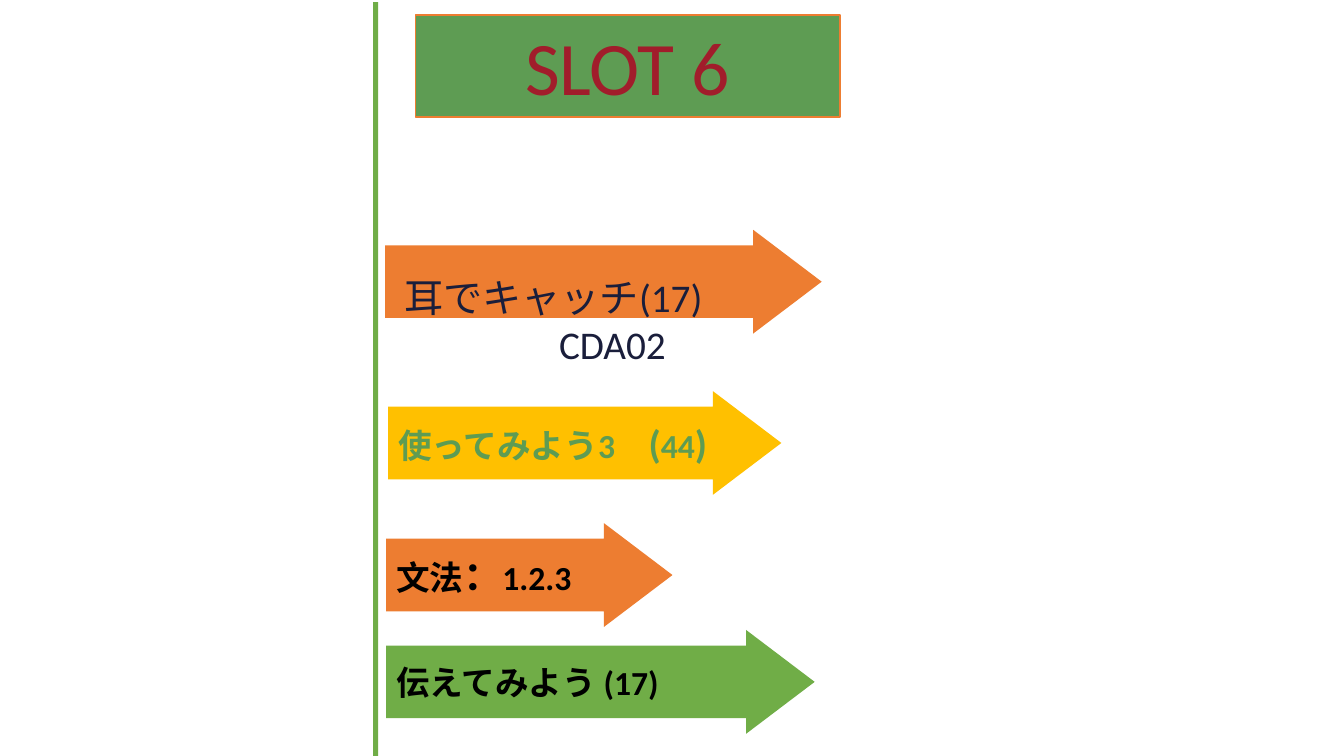
from dataclasses import dataclass

from pptx import Presentation
from pptx.dml.color import RGBColor
from pptx.enum.shapes import MSO_SHAPE
from pptx.enum.text import MSO_ANCHOR, PP_ALIGN
from pptx.shapes.autoshape import Shape
from pptx.slide import Slide
from pptx.util import Inches, Pt

RIGHT_ARROW = MSO_SHAPE.RIGHT_ARROW
RECTANGLE = MSO_SHAPE.RECTANGLE
TOP = MSO_ANCHOR.TOP
MIDDLE = MSO_ANCHOR.MIDDLE
LEFT = PP_ALIGN.LEFT
CENTER = PP_ALIGN.CENTER

ORANGE = RGBColor(0xED, 0x7D, 0x31)
YELLOW = RGBColor(0xFF, 0xC0, 0x00)
GREEN = RGBColor(0x70, 0xAD, 0x47)
DARK_GREEN = RGBColor(0x5E, 0x9C, 0x53)
RED = RGBColor(0xA1, 0x1D, 0x2B)
NAVY = RGBColor(0x1A, 0x1E, 0x3B)
BLACK = RGBColor(0x00, 0x00, 0x00)

FONT_NAME = "Calibri"
ARROW_HEIGHT = 1.03
ARROW_ADJUSTMENTS = (0.7, 0.66)


@dataclass(frozen=True)
class Box:
    left: float
    top: float
    width: float
    height: float


@dataclass(frozen=True)
class Line:
    runs: tuple[tuple[str, int], ...]
    color: RGBColor
    bold: bool = False
    alignment: PP_ALIGN = LEFT


@dataclass(frozen=True)
class Arrow:
    left: float
    top: float
    width: float
    fill: RGBColor
    line: Line | None = None


@dataclass(frozen=True)
class Label:
    box: Box
    lines: tuple[Line, ...]


ARROWS = (
    Arrow(3.82, 2.28, 4.33, ORANGE),
    Arrow(3.85, 3.88, 3.9, YELLOW),
    Arrow(3.83, 5.19, 2.84, ORANGE,
          Line((("文法", 24), ("：", 28), ("1.2.3", 24)), BLACK, True)),
    Arrow(3.83, 6.25, 4.25, GREEN,
          Line((("伝えてみよう (17)", 24),), BLACK, True)),
)

LABELS = (
    Label(Box(3.85, 4.11, 4.62, 0.57), (
        Line((("使ってみよう3　", 24), ("(", 28), ("44", 24), (")", 28)),
             DARK_GREEN, True),
    )),
    Label(Box(3.91, 2.66, 4.33, 1.04), (
        Line((("耳でキャッチ(17)", 28),), NAVY),
        Line((("CDA02", 28),), NAVY, alignment=CENTER),
    )),
)

DIVIDER = Box(3.7, 0.02, 0.05, 7.52)
TITLE_BOX = Box(4.12, 0.15, 4.21, 1.01)
TITLE = Line((("SLOT 6", 54),), RED, alignment=CENTER)


def write_lines(shape: Shape, lines: tuple[Line, ...], anchor: MSO_ANCHOR) -> None:
    frame = shape.text_frame
    frame.word_wrap = True
    frame.vertical_anchor = anchor
    for index, line in enumerate(lines):
        paragraph = frame.add_paragraph() if index else frame.paragraphs[0]
        paragraph.alignment = line.alignment
        paragraph.font.name = FONT_NAME
        paragraph.font.bold = line.bold
        paragraph.font.color.rgb = line.color
        sizes = {size for _, size in line.runs}
        if len(sizes) == 1:
            paragraph.font.size = Pt(line.runs[0][1])
        for text, size in line.runs:
            run = paragraph.add_run()
            run.text = text
            if len(sizes) > 1:
                run.font.size = Pt(size)


def add_filled_shape(slide: Slide, kind: MSO_SHAPE, box: Box, fill: RGBColor) -> Shape:
    shape = slide.shapes.add_shape(
        kind, Inches(box.left), Inches(box.top), Inches(box.width), Inches(box.height)
    )
    shape.shadow.inherit = False
    shape.fill.solid()
    shape.fill.fore_color.rgb = fill
    shape.line.fill.background()
    return shape


def add_arrow(slide: Slide, arrow: Arrow) -> None:
    box = Box(arrow.left, arrow.top, arrow.width, ARROW_HEIGHT)
    shape = add_filled_shape(slide, RIGHT_ARROW, box, arrow.fill)
    for index, value in enumerate(ARROW_ADJUSTMENTS):
        shape.adjustments[index] = value
    if arrow.line:
        write_lines(shape, (arrow.line,), MIDDLE)


def add_label(slide: Slide, label: Label) -> None:
    box = label.box
    shape = slide.shapes.add_textbox(
        Inches(box.left), Inches(box.top), Inches(box.width), Inches(box.height)
    )
    write_lines(shape, label.lines, TOP)


def add_title(slide: Slide) -> None:
    shape = add_filled_shape(slide, RECTANGLE, TITLE_BOX, DARK_GREEN)
    shape.line.color.rgb = ORANGE
    shape.line.width = Pt(1)
    write_lines(shape, (TITLE,), TOP)


def main() -> None:
    presentation = Presentation()
    presentation.slide_width = Inches(13.33)
    presentation.slide_height = Inches(7.5)
    slide = presentation.slides.add_slide(presentation.slide_layouts[6])
    add_filled_shape(slide, RECTANGLE, DIVIDER, GREEN)
    add_title(slide)
    for arrow in ARROWS:
        add_arrow(slide, arrow)
    for label in LABELS:
        add_label(slide, label)
    presentation.save("out.pptx")


if __name__ == "__main__":
    main()
